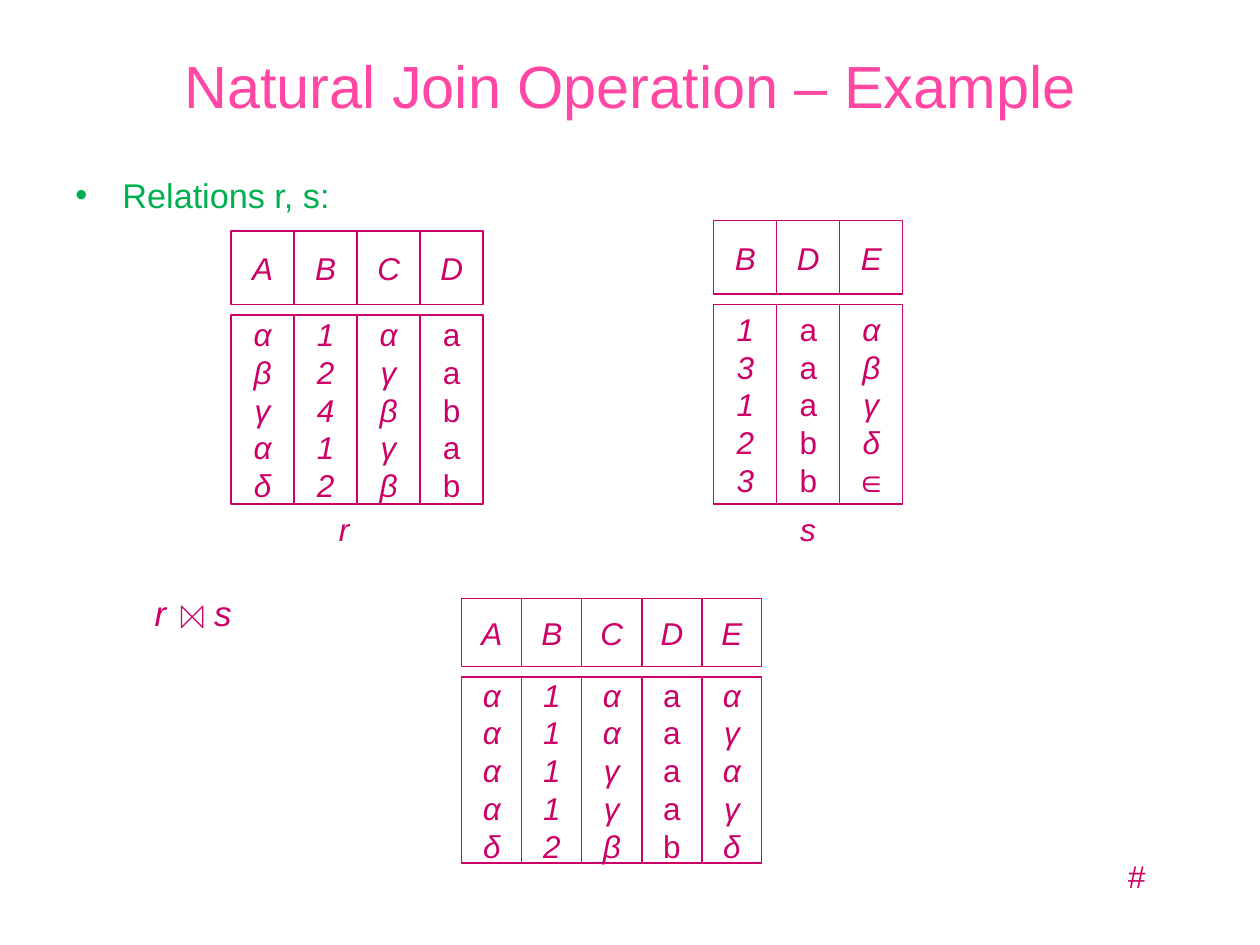
from lxml import etree
from pptx import Presentation
from pptx.dml.color import RGBColor
from pptx.enum.shapes import MSO_SHAPE
from pptx.enum.text import MSO_ANCHOR, PP_ALIGN
from pptx.oxml.ns import qn
from pptx.util import Cm, Pt

MAGENTA = RGBColor(0xCC, 0x00, 0x66)
PINK = RGBColor(0xFF, 0x47, 0xA3)
GREEN = RGBColor(0x00, 0xB0, 0x50)
WHITE = RGBColor(0xFF, 0xFF, 0xFF)
FONT = "Arial"
UPRIGHT_COLUMN = "D"

RELATION_R = {"A": "αβγαδ", "B": "12412", "C": "αγβγβ", "D": "aabab"}
RELATION_S = {"B": "13123", "D": "aaabb", "E": "αβγδ∈"}
JOIN = {"A": "ααααδ", "B": "11112", "C": "ααγγβ", "D": "aaaab", "E": "αγαγδ"}


def write(tf, lines, size=18, color=MAGENTA, italic=True,
          align=PP_ALIGN.CENTER, anchor=MSO_ANCHOR.MIDDLE, wrap=False):
    tf.word_wrap = wrap
    tf.vertical_anchor = anchor
    for i, line in enumerate(lines):
        p = tf.add_paragraph() if i else tf.paragraphs[0]
        p.alignment = align
        r = p.add_run()
        r.text = line
        r.font.name = FONT
        r.font.size = Pt(size)
        r.font.italic = italic
        r.font.color.rgb = color


def add_text(slide, box, text, **style):
    """Add a one-line text box and return its paragraph."""
    sp = slide.shapes.add_textbox(*map(Cm, box))
    write(sp.text_frame, [text], **style)
    return sp.text_frame.paragraphs[0]


def add_outlined(slide, shape_type, box):
    sp = slide.shapes.add_shape(shape_type, *map(Cm, box))
    sp.shadow.inherit = False
    sp.fill.solid()
    sp.fill.fore_color.rgb = WHITE
    sp.line.color.rgb = MAGENTA
    sp.line.width = Pt(0.75)
    return sp


def add_relation(slide, box, columns, header_height, gap=0.21):
    """Draw each column as a header cell above one tall cell of values."""
    left, top, width, height = box
    col_width = width / len(columns)
    body_top = top + header_height + gap
    body_height = height - header_height - gap
    for i, (name, values) in enumerate(columns.items()):
        x = left + i * col_width
        header = add_outlined(slide, MSO_SHAPE.RECTANGLE, (x, top, col_width, header_height))
        write(header.text_frame, [name])
        body = add_outlined(slide, MSO_SHAPE.RECTANGLE, (x, body_top, col_width, body_height))
        write(body.text_frame, values, italic=name != UPRIGHT_COLUMN)


def add_bullet_line(slide, box, text):
    p = add_text(slide, box, text, size=19.6, color=GREEN, italic=False,
                 align=PP_ALIGN.LEFT, anchor=MSO_ANCHOR.TOP, wrap=True)
    pPr = p._p.get_or_add_pPr()
    pPr.set("marL", str(Cm(0.95)))
    pPr.set("indent", str(-Cm(0.95)))
    etree.SubElement(pPr, qn("a:buFont"), typeface=FONT)
    etree.SubElement(pPr, qn("a:buChar"), char="•")


def add_join_expression(slide, box):
    """Write r and s with the bow-tie join sign between them."""
    left, top, _, _ = box
    p = add_text(slide, box, "r\ts", size=20, align=PP_ALIGN.LEFT,
                 anchor=MSO_ANCHOR.TOP, wrap=True)
    tabs = etree.SubElement(p._p.get_or_add_pPr(), qn("a:tabLst"))
    etree.SubElement(tabs, qn("a:tab"), pos=str(Cm(1.2)), algn="l")
    sign = add_outlined(slide, MSO_SHAPE.FLOWCHART_COLLATE,
                        (left + 0.79, top + 0.43, 0.43, 0.43))
    sign.rotation = 270


def main():
    prs = Presentation()
    prs.slide_width, prs.slide_height = Cm(25.4), Cm(19.05)
    slide = prs.slides.add_slide(prs.slide_layouts[6])

    add_text(slide, (1.91, 0.43, 21.59, 2.54), "Natural Join Operation – Example",
             size=34, color=PINK, italic=False, wrap=True)
    add_bullet_line(slide, (1.27, 3.38, 19.53, 1.14), "Relations r, s:")

    add_relation(slide, (4.66, 4.66, 5.08, 5.5), RELATION_R, header_height=1.48)
    add_text(slide, (6.58, 10.16, 0.71, 1.02), "r")
    add_relation(slide, (14.39, 4.45, 3.81, 5.71), RELATION_S, header_height=1.48)
    add_text(slide, (15.88, 10.16, 0.81, 1.02), "s")

    add_join_expression(slide, (2.87, 11.79, 19.53, 1.14))
    add_relation(slide, (9.31, 12.07, 6.05, 5.33), JOIN, header_height=1.37)

    add_text(slide, (22.48, 17.15, 0.86, 1.02), "#", align=PP_ALIGN.LEFT,
             anchor=MSO_ANCHOR.TOP)
    prs.save("out.pptx")


if __name__ == "__main__":
    main()
